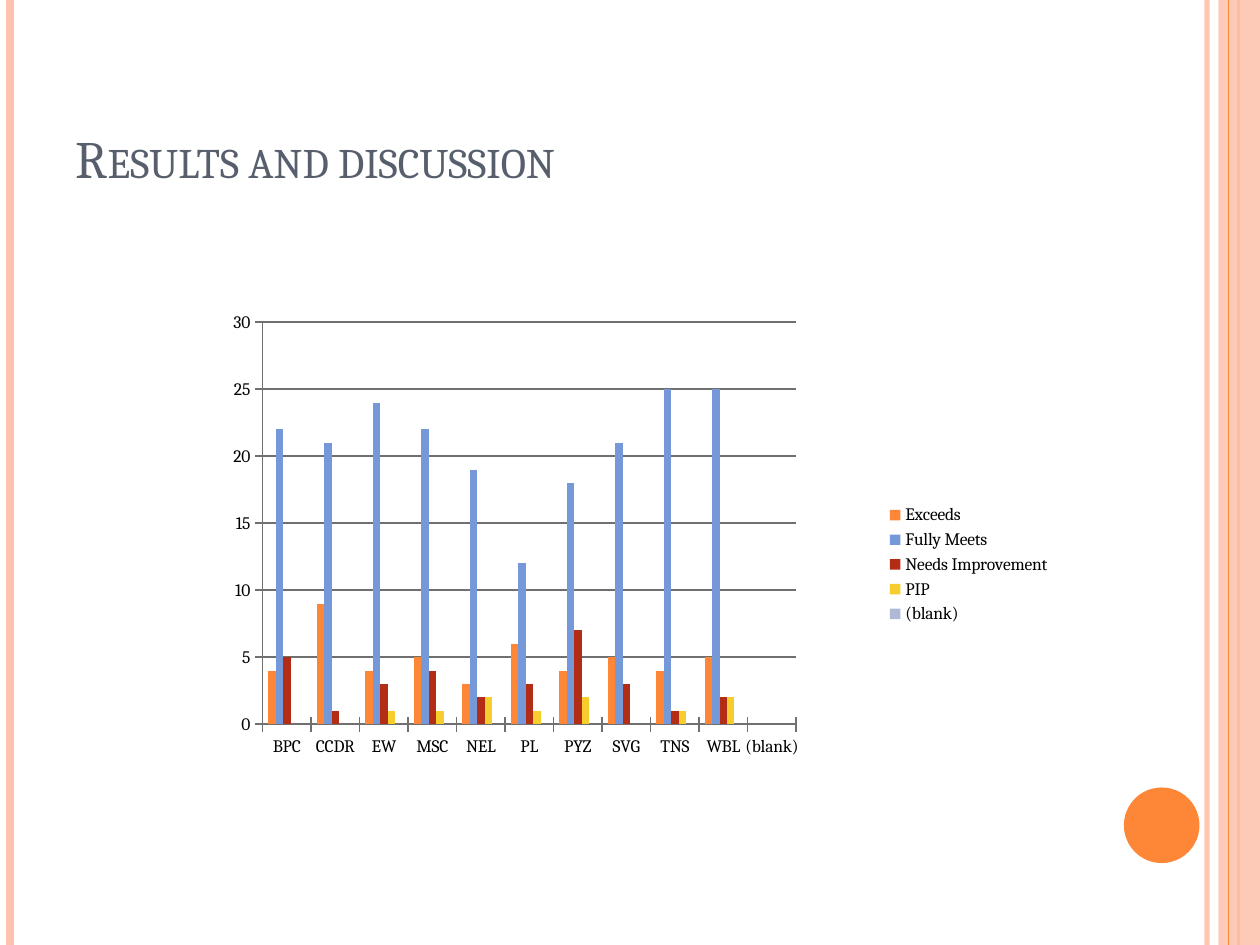
from lxml.etree import SubElement
from pptx import Presentation
from pptx.chart.data import CategoryChartData
from pptx.dml.color import RGBColor
from pptx.enum.chart import XL_CHART_TYPE, XL_LEGEND_POSITION, XL_TICK_MARK
from pptx.enum.shapes import MSO_CONNECTOR, MSO_SHAPE
from pptx.enum.text import MSO_ANCHOR, PP_ALIGN
from pptx.oxml.ns import qn
from pptx.util import Inches, Pt

ORANGE = RGBColor(0xFE, 0x86, 0x37)
PEACH = RGBColor(0xFE, 0xC3, 0xAE)
SLATE = RGBColor(0x57, 0x5F, 0x6D)
BLACK = RGBColor(0x00, 0x00, 0x00)
GRAY = RGBColor(0x70, 0x70, 0x70)
BLUE = RGBColor(0x75, 0x98, 0xD9)
RED = RGBColor(0xB3, 0x2C, 0x16)
YELLOW = RGBColor(0xF5, 0xCD, 0x2D)
LAVENDER = RGBColor(0xAE, 0xBA, 0xD5)
FONT = "Cambria"
HEIGHT = 7.5

TEAMS = ["BPC", "CCDR", "EW", "MSC", "NEL", "PL", "PYZ", "SVG", "TNS", "WBL", "(blank)"]
RATINGS = [
    ("Exceeds", ORANGE, [4, 9, 4, 5, 3, 6, 4, 5, 4, 5, None]),
    ("Fully Meets", BLUE, [22, 21, 24, 22, 19, 12, 18, 21, 25, 25, None]),
    ("Needs Improvement", RED, [5, 1, 3, 4, 2, 3, 7, 3, 1, 2, None]),
    ("PIP", YELLOW, [None, None, 1, 1, 2, 1, 2, None, 1, 2, None]),
    ("(blank)", LAVENDER, [None] * len(TEAMS)),
]


def set_opacity(properties, percent):
    color = next(properties.iter(qn("a:srgbClr")))
    SubElement(color, qn("a:alpha"), val=str(percent * 1000))


def add_stripe(slide, x, color, width, opacity=100):
    stripe = slide.shapes.add_connector(
        MSO_CONNECTOR.STRAIGHT, Inches(x), 0, Inches(x), Inches(HEIGHT))
    stripe.line.color.rgb = color
    stripe.line.width = Pt(width)
    properties = stripe._element.spPr
    if opacity < 100:
        set_opacity(properties, opacity)
    SubElement(properties, qn("a:effectLst"))


def add_solid(slide, preset, left, top, width, height, color, opacity=100):
    solid = slide.shapes.add_shape(
        preset, Inches(left), Inches(top), Inches(width), Inches(height))
    solid.shadow.inherit = False
    solid.fill.solid()
    solid.fill.fore_color.rgb = color
    solid.line.fill.background()
    if opacity < 100:
        set_opacity(solid._element.spPr, opacity)


def add_decoration(slide):
    add_stripe(slide, 9.58, PEACH, 3, 93)
    add_stripe(slide, 0.08, PEACH, 4.5)
    add_stripe(slide, 9.83, ORANGE, 1.5)
    add_solid(slide, MSO_SHAPE.RECTANGLE, 9.67, 0, 0.33, HEIGHT, PEACH, 87)
    add_stripe(slide, 9.75, ORANGE, 0.75)
    add_solid(slide, MSO_SHAPE.OVAL, 8.92, 6.25, 0.6, 0.6, ORANGE)


def fill_title(slide, text):
    title = slide.shapes.title
    title.left, title.top = Inches(0.5), Inches(0.3)
    title.width, title.height = Inches(8.17), Inches(1.25)
    title.text_frame.text = text
    title.text_frame.vertical_anchor = MSO_ANCHOR.BOTTOM
    heading = title.text_frame.paragraphs[0]
    heading.alignment = PP_ALIGN.LEFT
    heading.font.name = FONT
    heading.font.size = Pt(30)
    heading.font.color.rgb = SLATE
    heading.font._element.set("cap", "small")


def place_plot(chart, x, y, w, h):
    plot_area = chart._chartSpace.chart.plotArea
    layout = plot_area.find(qn("c:layout"))
    if layout is None:
        layout = SubElement(plot_area, qn("c:layout"))
        plot_area.insert(0, layout)
    manual = SubElement(layout, qn("c:manualLayout"))
    settings = [("layoutTarget", "inner"), ("xMode", "edge"), ("yMode", "edge"),
                ("x", x), ("y", y), ("w", w), ("h", h)]
    for tag, value in settings:
        SubElement(manual, qn(f"c:{tag}"), val=str(value))


def style_axis(axis):
    axis.major_tick_mark = XL_TICK_MARK.CROSS
    axis.format.line.color.rgb = GRAY
    axis.format.line.width = Pt(1)


def add_ratings_chart(slide):
    ratings = CategoryChartData()
    ratings.categories = TEAMS
    for name, _, counts in RATINGS:
        ratings.add_series(name, counts)
    chart = slide.shapes.add_chart(
        XL_CHART_TYPE.COLUMN_CLUSTERED, Inches(1.25), Inches(2.27),
        Inches(7.19), Inches(4.42), ratings).chart
    chart.has_title = False
    chart.font.name = FONT
    chart.font.size = Pt(10)
    chart.font.color.rgb = BLACK
    chart.has_legend = True
    chart.legend.position = XL_LEGEND_POSITION.RIGHT
    chart.legend.include_in_layout = False

    columns = chart.plots[0]
    columns.vary_by_categories = False
    columns.gap_width = 150
    columns.overlap = 0
    for series, (_, color, _) in zip(columns.series, RATINGS):
        series.format.fill.solid()
        series.format.fill.fore_color.rgb = color
        series.invert_if_negative = False

    style_axis(chart.category_axis)
    style_axis(chart.value_axis)
    chart.value_axis.minimum_scale = 0
    chart.value_axis.maximum_scale = 30
    chart.value_axis.major_unit = 5
    chart.value_axis.has_major_gridlines = True
    gridline = chart.value_axis.major_gridlines.format.line
    gridline.color.rgb = GRAY
    gridline.width = Pt(1)
    place_plot(chart, 0.116, 0.065, 0.589, 0.722)


def main():
    presentation = Presentation()
    presentation.slide_width = Inches(10)
    presentation.slide_height = Inches(HEIGHT)
    slide = presentation.slides.add_slide(presentation.slide_layouts[5])
    add_decoration(slide)
    fill_title(slide, "Results and discussion")
    add_ratings_chart(slide)
    presentation.save("out.pptx")


if __name__ == "__main__":
    main()
